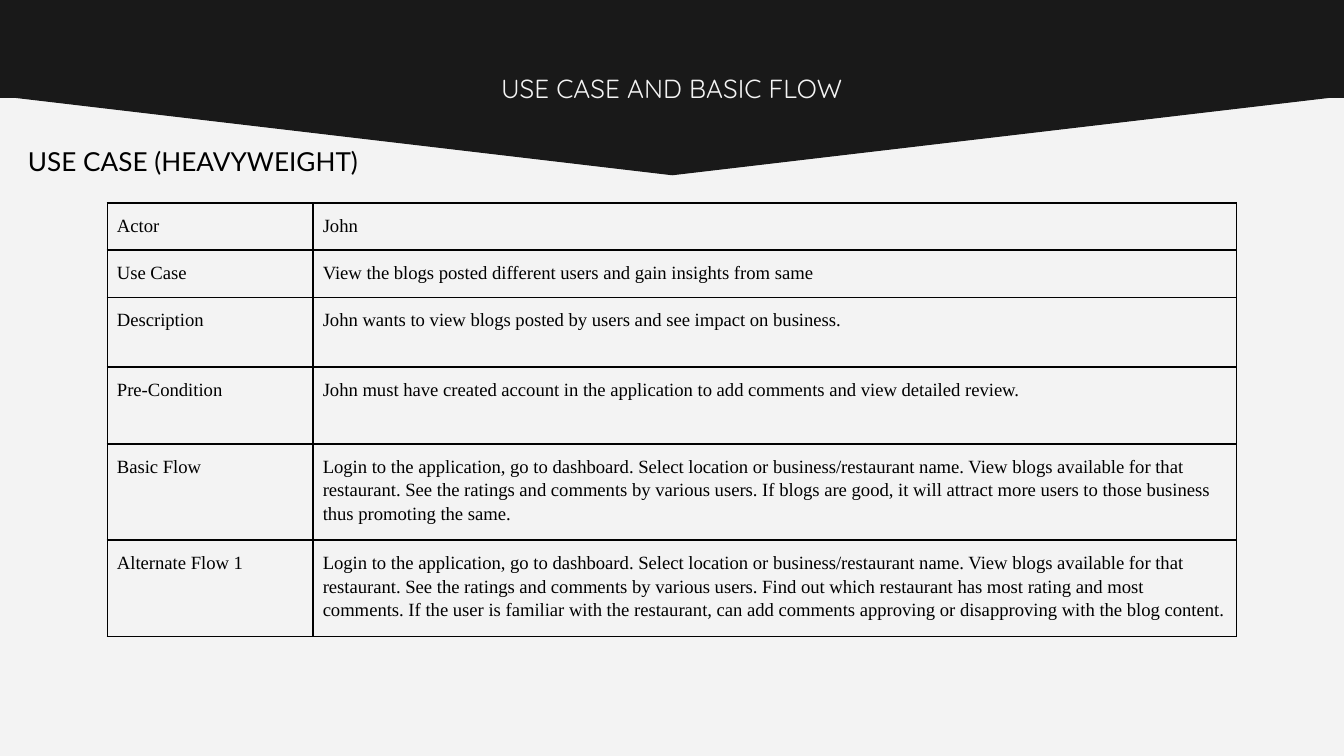
from dataclasses import dataclass

from lxml.etree import SubElement
from pptx import Presentation
from pptx.dml.color import RGBColor
from pptx.enum.shapes import MSO_SHAPE
from pptx.enum.text import PP_ALIGN
from pptx.oxml.ns import qn
from pptx.util import Cm, Pt


@dataclass(frozen=True)
class Theme:
    paper: str = "F3F3F3"
    band: str = "191919"
    ink: str = "000000"
    heading: int = 14
    body: int = 10
    rule: int = 1


theme = Theme()


def write(tf, text, font, size, color, **layout):
    p = tf.paragraphs[0]
    for name, value in layout.items():
        setattr(p, name, value)
    r = p.add_run()
    r.text = text
    for name, value in {"name": font, "size": Pt(size)}.items():
        setattr(r.font, name, value)
    r.font.color.rgb = RGBColor.from_string(color)


def add_border(cell, side):
    ln = SubElement(cell._tc.get_or_add_tcPr(), qn(f"a:{side}"), w=str(Pt(theme.rule)))
    fill = SubElement(ln, qn("a:solidFill"))
    SubElement(fill, qn("a:srgbClr"), val=theme.ink)


prs = Presentation()
prs.slide_width, prs.slide_height = Cm(25.4), Cm(14.29)
s = prs.slides.add_slide(prs.slide_layouts[6])
s.background.fill.solid()
s.background.fill.fore_color.rgb = RGBColor.from_string(theme.paper)

bands = [
    (MSO_SHAPE.ISOSCELES_TRIANGLE, 1.8, 1.5, 180),
    (MSO_SHAPE.RECTANGLE, -0.53, 2.38, 0),
]
for kind, top, height, rotation in bands:
    sp = s.shapes.add_shape(kind, Cm(-0.03), Cm(top), Cm(25.47), Cm(height))
    sp.rotation = rotation
    sp.shadow.inherit = False
    sp.fill.solid()
    sp.fill.fore_color.rgb = RGBColor.from_string(theme.band)
    sp.line.color.rgb = RGBColor.from_string(theme.band)
    sp.line.width = Pt(0.75)

headings = [
    ("USE CASE AND BASIC FLOW", (8.56, 1.12, 8.28, 1.37), "Quicksand", theme.paper, PP_ALIGN.CENTER),
    ("USE CASE (HEAVYWEIGHT)", (0.28, 2.49, 6.93, 1.12), "Lato", theme.ink, PP_ALIGN.LEFT),
]
for text, box, font, color, align in headings:
    tf = s.shapes.add_textbox(*map(Cm, box)).text_frame
    tf.word_wrap = True
    for side in ("left", "top", "right", "bottom"):
        setattr(tf, f"margin_{side}", Cm(0.25))
    write(tf, text, font, theme.heading, color, alignment=align)

flow = (
    "Login to the application, go to dashboard. Select location or business/restaurant name. "
    "View blogs available for that restaurant. See the ratings and comments by various users. "
)
rows = [
    (0.89, "Actor", "John"),
    (0.89, "Use Case", "View the blogs posted different users and gain insights from same"),
    (1.32, "Description", "John wants to view blogs posted by users and see impact on business."),
    (1.45, "Pre-Condition",
     "John must have created account in the application to add comments and view detailed review."),
    (1.45, "Basic Flow",
     flow + "If blogs are good, it will attract more users to those business thus promoting the same."),
    (1.45, "Alternate Flow 1",
     flow + "Find out which restaurant has most rating and most comments. If the user is familiar with "
     "the restaurant, can add comments approving or disapproving with the blog content."),
]
widths = [3.89, 17.45]
height = sum(row[0] for row in rows)
table = s.shapes.add_table(
    len(rows), len(widths), Cm(2.03), Cm(3.84), Cm(sum(widths)), Cm(height)
).table
for name in ("first_row", "horz_banding"):
    setattr(table, name, False)
for column, width in zip(table.columns, widths):
    column.width = Cm(width)
for row, (height, *texts) in zip(table.rows, rows):
    row.height = Cm(height)
    for cell, text in zip(row.cells, texts):
        for side in ("left", "top", "right", "bottom"):
            setattr(cell, f"margin_{side}", Cm(0.18))
        for side in ("lnL", "lnR", "lnT", "lnB"):
            add_border(cell, side)
        cell.fill.background()
        write(cell.text_frame, text, "Times New Roman", theme.body, theme.ink, line_spacing=1.15)

prs.save("out.pptx")
